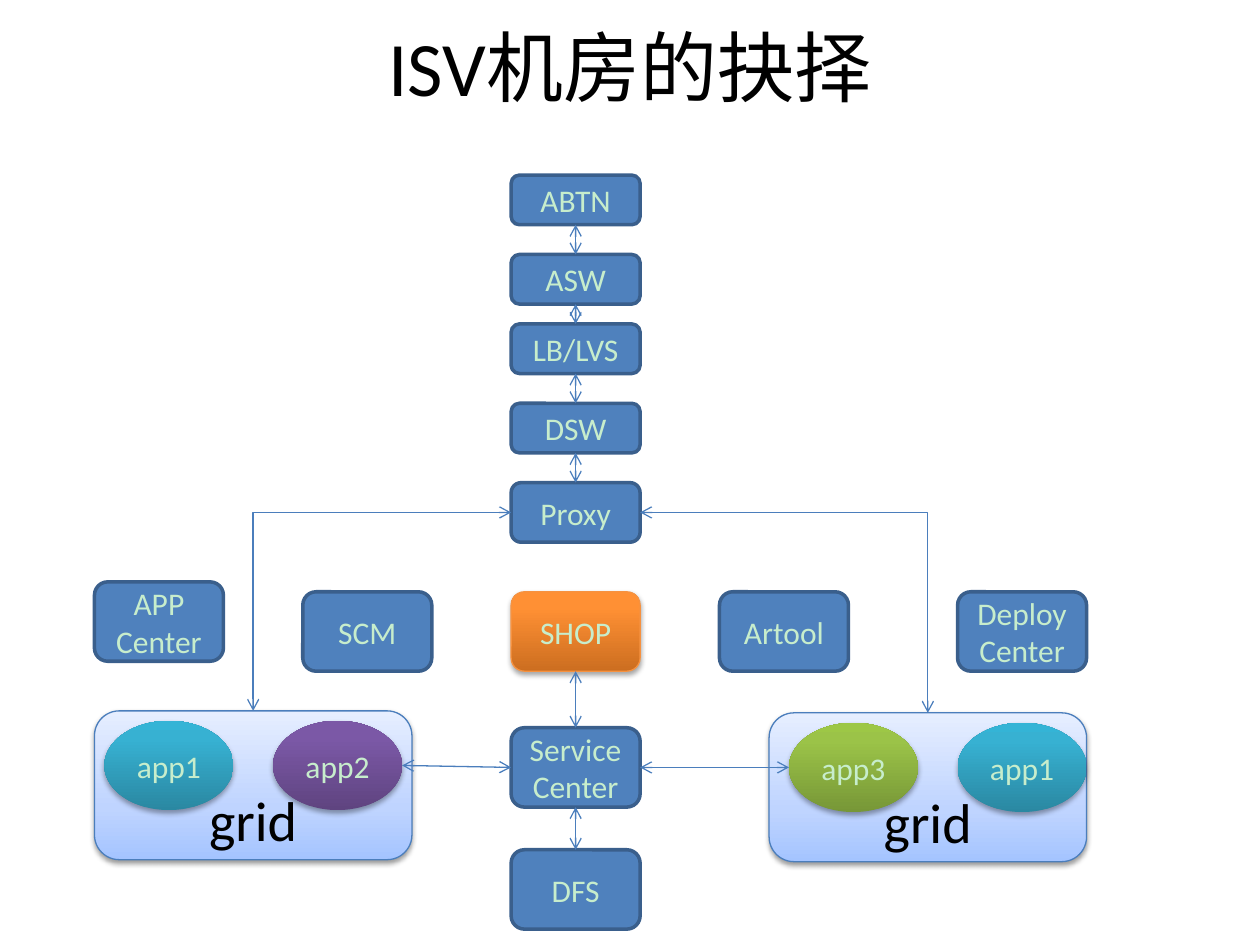
from copy import deepcopy
from dataclasses import dataclass

from lxml import etree
from pptx import Presentation
from pptx.dml.color import RGBColor
from pptx.enum.shapes import MSO_CONNECTOR, MSO_SHAPE
from pptx.enum.text import MSO_ANCHOR, PP_ALIGN
from pptx.oxml.ns import qn
from pptx.util import Inches, Pt

ROUNDED = MSO_SHAPE.ROUNDED_RECTANGLE
PANEL = MSO_SHAPE.FLOWCHART_ALTERNATE_PROCESS
OVAL = MSO_SHAPE.OVAL
STRAIGHT, ELBOW = MSO_CONNECTOR.STRAIGHT, MSO_CONNECTOR.ELBOW
MIDDLE, BOTTOM = MSO_ANCHOR.MIDDLE, MSO_ANCHOR.BOTTOM
CENTER = PP_ALIGN.CENTER
TOP_SIDE, LEFT_SIDE, BOTTOM_SIDE, RIGHT_SIDE = range(4)

SLIDE_W, SLIDE_H = 10, 7.5
UNIT = SLIDE_W / 127
GRID_LEFT, GRID_TOP = 0.75, 1.39
NODE_W, NODE_H = 13, 8
PANEL_W, PANEL_H = 32, 15
APP_H, APP_STEP = 9, 17


@dataclass(frozen=True)
class Theme:
    font: str = "Calibri"
    title_size: int = 44
    panel_size: int = 32
    node_size: int = 18
    ink: str = "000000"
    paper: str = "FFFFFF"
    label: str = "C7EDCC"
    node: str = "4F81BD"
    node_edge: str = "3A5F8C"
    link: str = "4B7EBC"
    shop_edge: str = "F69240"
    shop: tuple = ((0, "CC6E20"), (0.8, "FF9034"), (1, "FF9136"))
    panel: tuple = ((0, "A4C4FF"), (0.35, "BFD4FF"), (1, "E6EEFF"))
    teal: tuple = ((0, "2A88A2"), (0.8, "37B1D2"), (1, "34B4D6"))
    purple: tuple = ((0, "5F4480"), (0.8, "7B58A6"), (1, "7C57A8"))
    green: tuple = ((0, "779737"), (0.8, "9BC348"), (1, "9DC746"))


THEME = Theme()


def cell_box(column, row, columns, rows):
    return (GRID_LEFT + column * UNIT, GRID_TOP + row * UNIT,
            columns * UNIT, rows * UNIT)


def inner_box(box, column, row, columns, rows):
    return (box[0] + column * UNIT, box[1] + row * UNIT,
            columns * UNIT, rows * UNIT)


def apply_format(target, values):
    for attribute, value in values.items():
        setattr(target, attribute, value)


def write_text(frame, text, size, color, anchor=MIDDLE):
    apply_format(frame, {"word_wrap": True, "vertical_anchor": anchor,
                         "margin_left": 0, "margin_right": 0,
                         "margin_top": 0, "margin_bottom": 0})
    frame.text = text
    for paragraph in frame.paragraphs:
        paragraph.alignment = CENTER
        apply_format(paragraph.runs[0].font,
                     {"name": THEME.font, "size": Pt(size)})
        paragraph.runs[0].font.color.rgb = RGBColor.from_string(color)


def fill_gradient(shape, stops):
    shape.fill.gradient()
    shape.fill.gradient_angle = 90
    stop_list = shape._element.spPr.find(qn("a:gradFill")).find(qn("a:gsLst"))
    stop_list.append(deepcopy(stop_list[0]))
    for stop, (position, color) in zip(shape.fill.gradient_stops, stops):
        stop.position = position
        stop.color.rgb = RGBColor.from_string(color)


def cast_shadow(shape, opacity, distance):
    effects = shape._element.spPr.find(qn("a:effectLst"))
    shadow = etree.SubElement(effects, qn("a:outerShdw"), {
        "blurRad": str(Pt(3.1)), "dist": str(Pt(distance)),
        "dir": "5400000", "rotWithShape": "0"})
    color = etree.SubElement(shadow, qn("a:srgbClr"), val=THEME.ink)
    etree.SubElement(color, qn("a:alpha"), val=str(opacity * 1000))


def add_block(slide, kind, box, fill, edge=None, edge_width=0.75,
              opacity=35, distance=1.8):
    block = slide.shapes.add_shape(kind, *map(Inches, box))
    block.shadow.inherit = False
    if isinstance(fill, str):
        block.fill.solid()
        block.fill.fore_color.rgb = RGBColor.from_string(fill)
    else:
        fill_gradient(block, fill)
        cast_shadow(block, opacity, distance)
    if edge:
        block.line.color.rgb = RGBColor.from_string(edge)
        block.line.width = Pt(edge_width)
    else:
        block.line.fill.background()
    return block


def add_node(slide, box, text):
    node = add_block(slide, ROUNDED, box, THEME.node, THEME.node_edge, 2)
    write_text(node.text_frame, text, THEME.node_size, THEME.label)
    return node


def side_point(shape, side):
    across, down = {TOP_SIDE: (0.5, 0), LEFT_SIDE: (0, 0.5),
                    BOTTOM_SIDE: (0.5, 1), RIGHT_SIDE: (1, 0.5)}[side]
    return (int(shape.left + across * shape.width),
            int(shape.top + down * shape.height))


def add_link(slide, start, start_side, end, end_side, kind=STRAIGHT):
    link = slide.shapes.add_connector(
        kind, *side_point(start, start_side), *side_point(end, end_side))
    link.begin_connect(start, start_side)
    if end.auto_shape_type != OVAL:
        link.end_connect(end, end_side)
    link.line.color.rgb = RGBColor.from_string(THEME.link)
    link.line.width = Pt(0.75)
    properties = link._element.spPr
    if kind == ELBOW:
        properties.find(qn("a:prstGeom")).set("prst", "bentConnector2")
    outline = properties.find(qn("a:ln"))
    for arrowhead in ("a:headEnd", "a:tailEnd"):
        etree.SubElement(outline, qn(arrowhead), type="arrow")
    etree.SubElement(properties, qn("a:effectLst"))


def add_title(slide, box, text):
    title = slide.shapes.add_textbox(*map(Inches, box))
    write_text(title.text_frame, text, THEME.title_size, THEME.ink)


def add_network_stack(slide, box):
    layers = [("ABTN", 0, 5), ("ASW", 8, 5), ("LB/LVS", 15, 5),
              ("DSW", 23, 5), ("Proxy", 31, 6)]
    nodes = [add_node(slide, inner_box(box, 0, row, NODE_W, rows), text)
             for text, row, rows in layers]
    for upper, lower in zip(nodes, nodes[1:]):
        add_link(slide, upper, BOTTOM_SIDE, lower, TOP_SIDE)
    return nodes[-1]


def add_tool_row(slide, box):
    for text, column, row in [("APP\nCenter", 0, -1), ("SCM", 21, 0),
                              ("Artool", 63, 0), ("Deploy\nCenter", 87, 0)]:
        add_node(slide, inner_box(box, column, row, NODE_W, NODE_H), text)


def add_service_column(slide, box):
    shop = add_block(slide, ROUNDED, inner_box(box, 0, 0, NODE_W, NODE_H),
                     THEME.shop, THEME.shop_edge)
    write_text(shop.text_frame, "SHOP", THEME.node_size, THEME.label)
    service, storage = [
        add_node(slide, inner_box(box, 0, row, NODE_W, NODE_H), text)
        for text, row in [("Service\nCenter", 13.7), ("DFS", 26)]]
    add_link(slide, service, TOP_SIDE, shop, BOTTOM_SIDE)
    add_link(slide, service, BOTTOM_SIDE, storage, TOP_SIDE)
    return service


def add_app_grid(slide, box, first_column, apps):
    panel = add_block(slide, PANEL, box, THEME.panel, THEME.link,
                      opacity=38, distance=1.6)
    write_text(panel.text_frame, "grid", THEME.panel_size, THEME.ink, BOTTOM)
    ovals = []
    for index, (text, fill) in enumerate(apps):
        column = first_column + index * APP_STEP
        oval = add_block(slide, OVAL,
                         inner_box(box, column, 1, NODE_W, APP_H), fill)
        write_text(oval.text_frame, text, THEME.node_size, THEME.label)
        ovals.append(oval)
    return panel, ovals


def main():
    deck = Presentation()
    apply_format(deck, {"slide_width": Inches(SLIDE_W),
                        "slide_height": Inches(SLIDE_H)})
    slide = deck.slides.add_slide(deck.slide_layouts[6])
    slide.background.fill.solid()
    slide.background.fill.fore_color.rgb = RGBColor.from_string(THEME.paper)

    proxy = add_network_stack(slide, cell_box(42, 0, NODE_W, 37))
    add_tool_row(slide, cell_box(0, 42, 100, NODE_H))
    service = add_service_column(slide, cell_box(42, 42, NODE_W, 34))
    left_panel, left_apps = add_app_grid(
        slide, cell_box(0, 54, PANEL_W, PANEL_H), 1,
        [("app1", THEME.teal), ("app2", THEME.purple)])
    right_panel, right_apps = add_app_grid(
        slide, cell_box(68, 54.2, PANEL_W, PANEL_H), 2,
        [("app3", THEME.green), ("app1", THEME.teal)])

    add_link(slide, service, LEFT_SIDE, left_apps[1], RIGHT_SIDE)
    add_link(slide, service, RIGHT_SIDE, right_apps[0], LEFT_SIDE)
    add_link(slide, proxy, LEFT_SIDE, left_panel, TOP_SIDE, ELBOW)
    add_link(slide, proxy, RIGHT_SIDE, right_panel, TOP_SIDE, ELBOW)
    add_title(slide, (0.05 * SLIDE_W, 0.05, 0.9 * SLIDE_W, 0.94),
              "ISV机房的抉择")
    deck.save("out.pptx")


if __name__ == "__main__":
    main()
